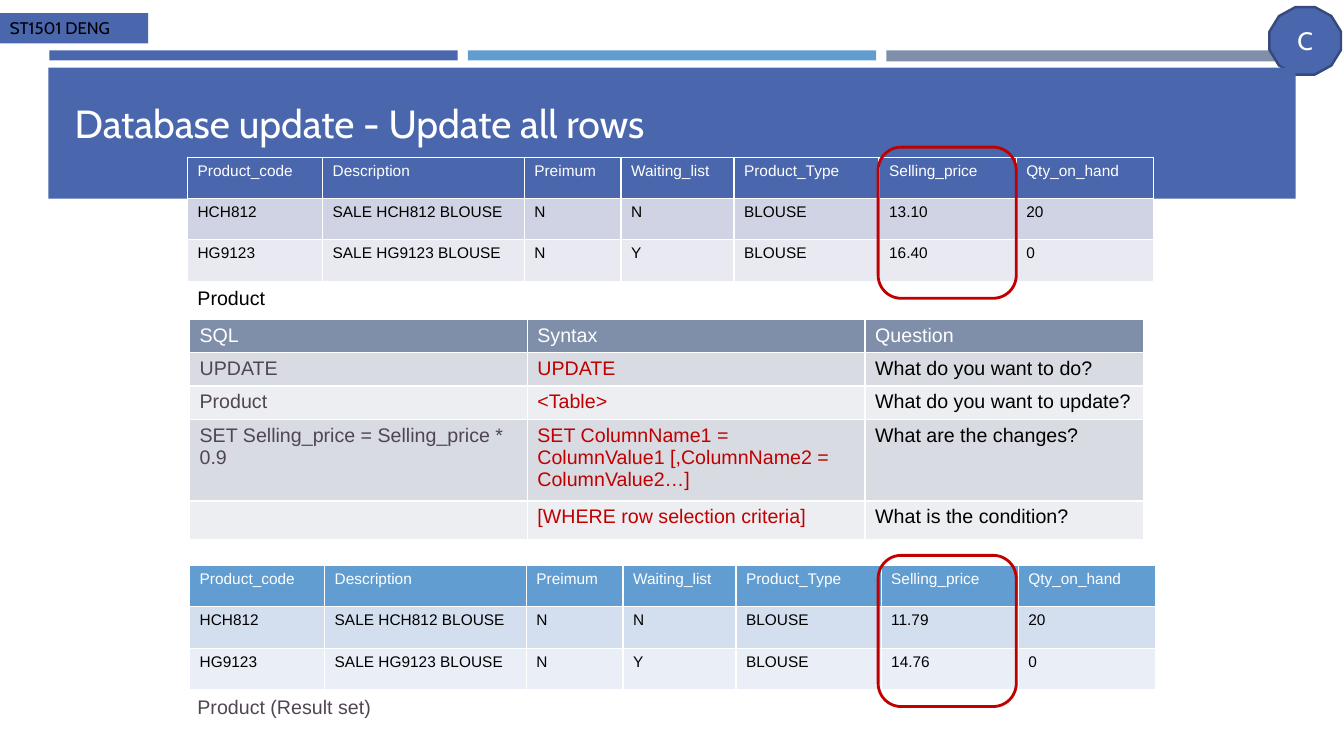
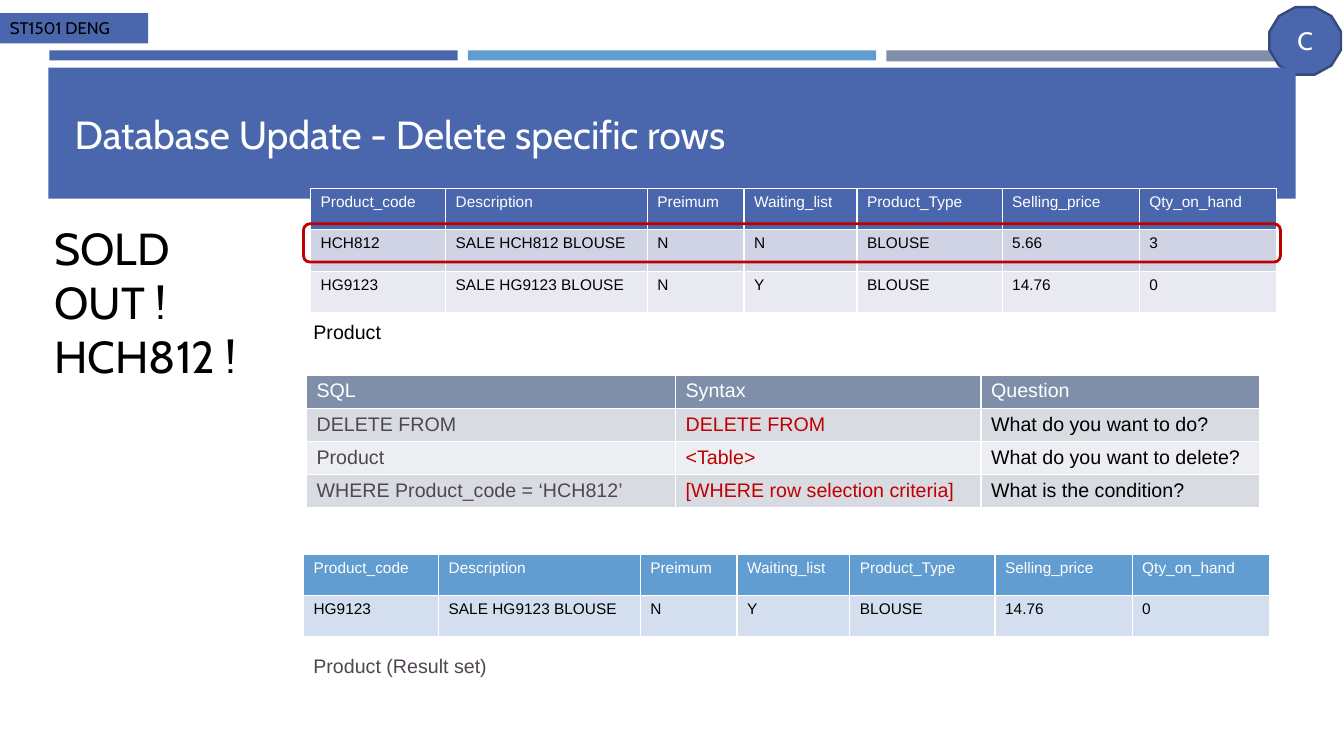
"""Build two slides that explain SQL UPDATE and DELETE statements."""
from pptx import Presentation
from pptx.dml.color import RGBColor
from pptx.enum.shapes import MSO_SHAPE
from pptx.enum.text import MSO_ANCHOR, PP_ALIGN
from pptx.util import Inches, Pt

BLUE, SKY, SLATE = "4A66AC", "629DD1", "7F8FA9"
NAVY, RED, GREY, BLACK, WHITE = "364A7D", "C00000", "504652", "000000", "FFFFFF"

PRODUCT_HEAD = ("Product_code", "Description", "Preimum", "Waiting_list",
                "Product_Type", "Selling_price", "Qty_on_hand")
PRODUCT_COLS = (1.34, 2, 0.96, 1.12, 1.44, 1.36, 1.36)
SQL_HEAD = ("SQL", "Syntax", "Question")
SQL_COLORS = (GREY, RED, BLACK)
BEFORE_FILLS = (BLUE, "D0D3E3", "E9EAF1")
RESULT_FILLS = (SKY, "D3DFEE", "EAEFF7")
SQL_FILLS = (SLATE, "D8DBE2", "ECEEF1")
HCH = ("HCH812", "SALE HCH812 BLOUSE", "N", "N", "BLOUSE")
HG = ("HG9123", "SALE HG9123 BLOUSE", "N", "Y", "BLOUSE")

SLIDES = [
    dict(
        title="Database update - Update all rows",
        title_box=(0.64, 0.39, 12.06, 1.11),
        products=[
            (1.88, 5.61, RESULT_FILLS, [HCH + ("11.79", "20"), HG + ("14.76", "0")]),
            (1.86, 1.56, BEFORE_FILLS, [HCH + ("13.10", "20"), HG + ("16.40", "0")]),
        ],
        sql=(1.88, 3.17, (3.35, 3.35, 2.76), (0.33, 0.33, 0.33, 0.81, 0.33), [
            ("UPDATE", "UPDATE", "What do you want to do?"),
            ("Product", "<Table>", "What do you want to update?"),
            ("SET Selling_price = Selling_price * 0.9",
             "SET ColumnName1 = ColumnValue1 [,ColumnName2 = ColumnValue2…]",
             "What are the changes?"),
            ("", "[WHERE row selection criteria]", "What is the condition?"),
        ]),
        highlights=[(8.71, 5.51, 1.37, 1.5), (8.71, 1.46, 1.37, 1.5)],
        captions=[(1.86, 2.79, 0.88, "Product", BLACK),
                  (1.86, 6.84, 1.93, "Product (Result set)", GREY)],
        note=None,
    ),
    dict(
        title="Database Update - Delete specific rows",
        title_box=(0.64, 0.77, 12.06, 0.84),
        products=[
            (3.01, 5.5, RESULT_FILLS, [HG + ("14.76", "0")]),
            (3.08, 1.87, BEFORE_FILLS, [HCH + ("5.66", "3"), HG + ("14.76", "0")]),
        ],
        sql=(3.04, 3.72, (3.66, 3.03, 2.76), (0.33,) * 4, [
            ("DELETE FROM", "DELETE FROM", "What do you want to do?"),
            ("Product", "<Table>", "What do you want to delete?"),
            ("WHERE Product_code = ‘HCH812’", "[WHERE row selection criteria]",
             "What is the condition?"),
        ]),
        highlights=[(3.01, 2.22, 9.69, 0.38)],
        captions=[(3.01, 3.12, 0.88, "Product", BLACK),
                  (3.01, 6.44, 1.93, "Product (Result set)", GREY)],
        note="SOLD OUT ! HCH812 !",
    ),
]


def paint(fill, color):
    fill.solid()
    fill.fore_color.rgb = RGBColor.from_string(color)


def write(tf, text, size=14, font="Arial", color=BLACK, align=PP_ALIGN.LEFT,
          anchor=MSO_ANCHOR.TOP, wrap=True):
    tf.word_wrap = wrap
    tf.vertical_anchor = anchor
    p = tf.paragraphs[0]
    p.alignment = align
    r = p.add_run()
    r.text = text
    r.font.size = Pt(size)
    r.font.name = font
    r.font.bold = False
    paint(r.font.fill, color)


prs = Presentation()
prs.slide_width, prs.slide_height = Inches(13.33), Inches(7.5)
layout = prs.slide_layouts[5]
slides = [prs.slides.add_slide(layout) for _ in SLIDES]

frame = []
for kind, box, color in [
    (MSO_SHAPE.RECTANGLE, (0.49, 0.5, 4.05, 0.1), BLUE),
    (MSO_SHAPE.RECTANGLE, (4.64, 0.5, 4.05, 0.1), SKY),
    (MSO_SHAPE.RECTANGLE, (8.79, 0.5, 4.05, 0.11), SLATE),
    (MSO_SHAPE.DODECAGON, (12.59, 0.07, 0.71, 0.67), BLUE),
    (MSO_SHAPE.RECTANGLE, (0, 0.13, 1.47, 0.3), BLUE),
    (MSO_SHAPE.RECTANGLE, (0.48, 0.67, 12.37, 1.3), BLUE),
]:
    sp = slides[0].shapes.add_shape(kind, *map(Inches, box))
    sp.shadow.inherit = False
    paint(sp.fill, color)
    sp.line.fill.background()
    frame.append(sp)
badge, course_tag = frame[3:5]
paint(badge.line.fill, NAVY)
badge.line.width = Pt(1.75)
write(badge.text_frame, "C", size=18, font="Cabin", color=WHITE,
      align=PP_ALIGN.CENTER, anchor=MSO_ANCHOR.MIDDLE)
write(course_tag.text_frame, "ST1501 DENG", size=12, font="Cabin")
for sp in frame:
    layout.shapes._spTree.append(sp._element)

for s, content in zip(slides, SLIDES):
    title = s.shapes.title
    title.left, title.top, title.width, title.height = map(Inches, content["title_box"])
    write(title.text_frame, content["title"], size=28, font="Cabin", color=WHITE,
          anchor=MSO_ANCHOR.BOTTOM)

    tables = [(x, y, PRODUCT_COLS, [0.41] * (len(rows) + 1), [PRODUCT_HEAD] + rows,
               fills, [BLACK] * 7, 11) for x, y, fills, rows in content["products"]]
    x, y, cols, heights, rows = content["sql"]
    tables.append((x, y, cols, heights, [SQL_HEAD] + rows, SQL_FILLS, SQL_COLORS, 14))
    for x, y, cols, heights, rows, fills, colors, size in tables:
        table = s.shapes.add_table(len(rows), len(cols), Inches(x), Inches(y),
                                   Inches(sum(cols)), Inches(sum(heights))).table
        for column, width in zip(table.columns, cols):
            column.width = Inches(width)
        for i, (row, height, texts) in enumerate(zip(table.rows, heights, rows)):
            row.height = Inches(height)
            fill = fills[0] if i == 0 else fills[2 - i % 2]
            for cell, text, color in zip(row.cells, texts, colors):
                paint(cell.fill, fill)
                write(cell.text_frame, text, size=size, color=color if i else WHITE)

    for box in content["highlights"]:
        sp = s.shapes.add_shape(MSO_SHAPE.ROUNDED_RECTANGLE, *map(Inches, box))
        sp.shadow.inherit = False
        sp.fill.background()
        paint(sp.line.fill, RED)
        sp.line.width = Pt(2)

    for x, y, width, text, color in content["captions"]:
        tb = s.shapes.add_textbox(Inches(x), Inches(y), Inches(width), Inches(0.34))
        write(tb.text_frame, text, color=color, wrap=False)

    if content["note"]:
        tb = s.shapes.add_textbox(Inches(0.44), Inches(2.14), Inches(2.22), Inches(1.72))
        write(tb.text_frame, content["note"], size=32, font="Cabin")

prs.save("out.pptx")
